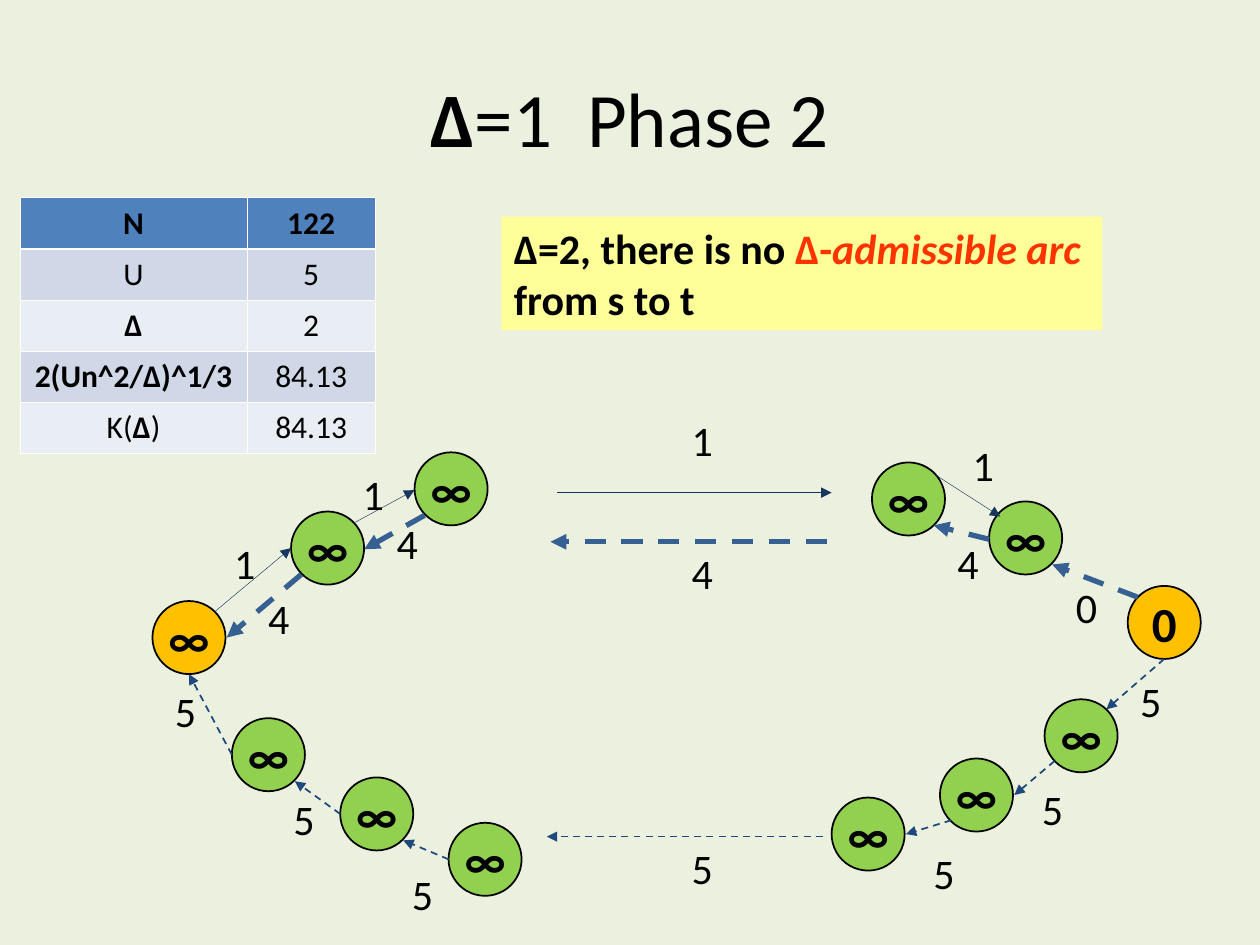
import pptx
import pptx.util
import pptx.dml.color
import pptx.enum.dml
import pptx.enum.shapes
import pptx.enum.text
import pptx.oxml
import pptx.oxml.ns
import lxml.etree

Inches = pptx.util.Inches
Pt = pptx.util.Pt
RGBColor = pptx.dml.color.RGBColor
PP_ALIGN = pptx.enum.text.PP_ALIGN
MSO_ANCHOR = pptx.enum.text.MSO_ANCHOR
MSO_SHAPE = pptx.enum.shapes.MSO_SHAPE
DASH = pptx.enum.dml.MSO_LINE.DASH
qn = pptx.oxml.ns.qn

CREAM = RGBColor(0xEB, 0xF1, 0xDE)
BLACK = RGBColor(0, 0, 0)
WHITE = RGBColor(0xFF, 0xFF, 0xFF)
GREEN = RGBColor(0x92, 0xD0, 0x50)
ORANGE = RGBColor(0xFF, 0xC0, 0x00)
YELLOW = RGBColor(0xFF, 0xFF, 0x99)
RED = RGBColor(0xFF, 0x33, 0x00)
NAVY = RGBColor(0x17, 0x37, 0x5E)
DARK_BLUE = RGBColor(0x1F, 0x49, 0x7D)
MID_BLUE = RGBColor(0x37, 0x60, 0x92)
HEADER = RGBColor(0x4F, 0x81, 0xBD)
BAND_DARK = RGBColor(0xD0, 0xD8, 0xE8)
BAND_LIGHT = RGBColor(0xE9, 0xED, 0xF4)


def write(tf, runs, size, align):
    p = tf.paragraphs[0]
    p.alignment = align
    for text, fmt in runs:
        r = p.add_run()
        r.text = text
        r.font.color.rgb = fmt.get("color", BLACK)
        values = {"name": "Calibri", "size": Pt(size), "bold": fmt.get("bold", False),
                  "italic": fmt.get("italic", False)}
        for name, value in values.items():
            setattr(r.font, name, value)


def set_border(cell, side, width):
    ln = lxml.etree.SubElement(cell._tc.get_or_add_tcPr(), qn("a:" + side), w=str(Pt(width)))
    fill = lxml.etree.SubElement(ln, qn("a:solidFill"))
    lxml.etree.SubElement(fill, qn("a:srgbClr"), val=str(WHITE))


prs = pptx.Presentation()
prs.slide_width = Inches(10)
prs.slide_height = Inches(7.5)
s = prs.slides.add_slide(prs.slide_layouts[6])
s.background.fill.solid()
s.background.fill.fore_color.rgb = CREAM

BOLD = {"bold": True}

title = s.shapes.add_textbox(Inches(0.5), Inches(0.3), Inches(9), Inches(1.25))
tf = title.text_frame
tf.word_wrap = True
tf.vertical_anchor = MSO_ANCHOR.MIDDLE
write(tf, [("∆", BOLD), ("=1  Phase 2", {})], 44, PP_ALIGN.CENTER)

nodes = [
    (1.21, 4.77, "∞", ORANGE), (8.95, 4.65, "0", ORANGE),
    (2.31, 4.06, "∞", GREEN), (3.29, 3.59, "∞", GREEN),
    (6.92, 3.67, "∞", GREEN), (7.85, 3.98, "∞", GREEN),
    (1.84, 5.7, "∞", GREEN), (2.7, 6.17, "∞", GREEN), (3.56, 6.53, "∞", GREEN),
    (6.6, 6.33, "∞", GREEN), (7.46, 6.02, "∞", GREEN), (8.29, 5.55, "∞", GREEN),
]
for x, y, text, color in nodes:
    sp = s.shapes.add_shape(MSO_SHAPE.OVAL, Inches(x), Inches(y), Inches(0.58), Inches(0.58))
    sp.shadow.inherit = False
    sp.fill.solid()
    sp.fill.fore_color.rgb = color
    sp.line.color.rgb = BLACK
    sp.line.width = Pt(1)
    tf = sp.text_frame
    tf.word_wrap = False
    tf.vertical_anchor = MSO_ANCHOR.MIDDLE
    write(tf, [(text, BOLD)], 28, PP_ALIGN.CENTER)

arc_groups = [
    (NAVY, 0.25, None, [
        (1.71, 4.85, 2.31, 4.35), (2.81, 4.15, 3.29, 3.89),
        (4.42, 3.91, 6.6, 3.91), (7.41, 3.76, 7.94, 4.1)]),
    (DARK_BLUE, 1, DASH, [
        (9.24, 5.23, 8.78, 5.63), (8.37, 6.04, 8.05, 6.31), (7.55, 6.51, 7.19, 6.62),
        (6.53, 6.64, 4.34, 6.64), (3.56, 6.82, 3.2, 6.67), (2.7, 6.46, 2.34, 6.2),
        (1.84, 5.99, 1.5, 5.35)]),
    (MID_BLUE, 3, DASH, [
        (9.03, 4.74, 8.35, 4.48), (7.85, 4.28, 7.41, 4.17), (6.56, 4.3, 4.37, 4.3),
        (3.37, 4.09, 2.89, 4.36), (2.39, 4.56, 1.8, 5.06)]),
]
for color, width, dash, arcs in arc_groups:
    for arc in arcs:
        arrow = s.shapes.add_connector(pptx.enum.shapes.MSO_CONNECTOR.STRAIGHT,
                                       *[Inches(v) for v in arc])
        arrow.line.color.rgb = color
        arrow.line.width = Pt(width)
        if dash:
            arrow.line.dash_style = dash
        lxml.etree.SubElement(arrow.line._get_or_add_ln(), qn("a:tailEnd"), type="triangle")
        lxml.etree.SubElement(arrow._element.spPr, qn("a:effectLst"))

labels = {
    "0": [(8.44, 4.57)],
    "1": [(1.76, 4.22), (2.78, 3.67), (5.39, 3.24), (7.62, 3.44)],
    "4": [(2.03, 4.65), (3.05, 4.06), (5.39, 4.3), (7.5, 4.22)],
    "5": [(1.29, 5.39), (2.23, 6.25), (3.17, 6.84), (5.39, 6.64),
          (7.31, 6.68), (8.17, 6.17), (8.95, 5.31)],
}
for text, places in labels.items():
    for x, y in places:
        label = s.shapes.add_textbox(Inches(x), Inches(y), Inches(0.31), Inches(0.5))
        label.text_frame.word_wrap = True
        write(label.text_frame, [(text, {})], 24, PP_ALIGN.LEFT)

rows = [
    ([("N", BOLD)], [("122", BOLD)]),
    ([("U", {})], [("5", {})]),
    ([("∆", BOLD)], [("2", {})]),
    ([("2(Un^2/∆)^1/3", BOLD)], [("84.13", {})]),
    ([("K(", {}), ("∆", BOLD), (")", {})], [("84.13", {})]),
]
table = s.shapes.add_table(len(rows), 2, Inches(0.16), Inches(1.57), Inches(2.82), Inches(2.03)).table
table.columns[0].width = Inches(1.8)
table.columns[1].width = Inches(1.02)
for i, row in enumerate(rows):
    for j, runs in enumerate(row):
        cell = table.cell(i, j)
        write(cell.text_frame, runs, 18, PP_ALIGN.CENTER)
        for side in ("lnL", "lnR", "lnT", "lnB"):
            heavy = (i, side) in [(0, "lnB"), (1, "lnT")]
            set_border(cell, side, 1.47 if heavy else 0.45)
        cell.fill.solid()
        cell.fill.fore_color.rgb = HEADER if i == 0 else BAND_DARK if i % 2 else BAND_LIGHT

note = s.shapes.add_shape(MSO_SHAPE.RECTANGLE, Inches(3.98), Inches(1.72), Inches(4.77), Inches(0.9))
note.shadow.inherit = False
note.fill.solid()
note.fill.fore_color.rgb = YELLOW
note.line.fill.background()
tf = note.text_frame
tf.word_wrap = True
tf.vertical_anchor = MSO_ANCHOR.TOP
write(tf, [
    ("∆=2, there is no ", BOLD),
    ("∆-", {"bold": True, "color": RED}),
    ("admissible arc", {"bold": True, "italic": True, "color": RED}),
    (" from s to t", BOLD),
], 24, PP_ALIGN.LEFT)

prs.save("out.pptx")
